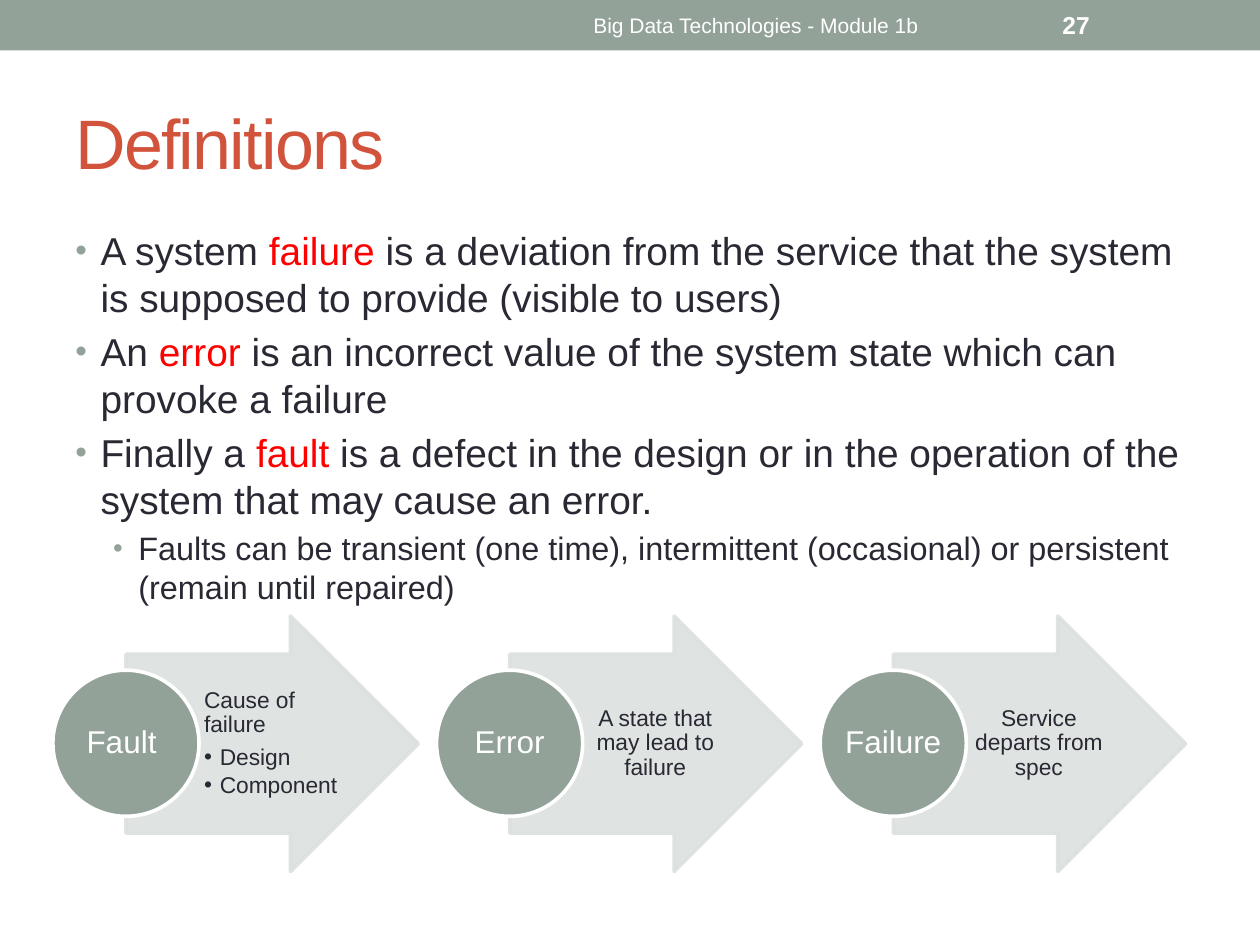
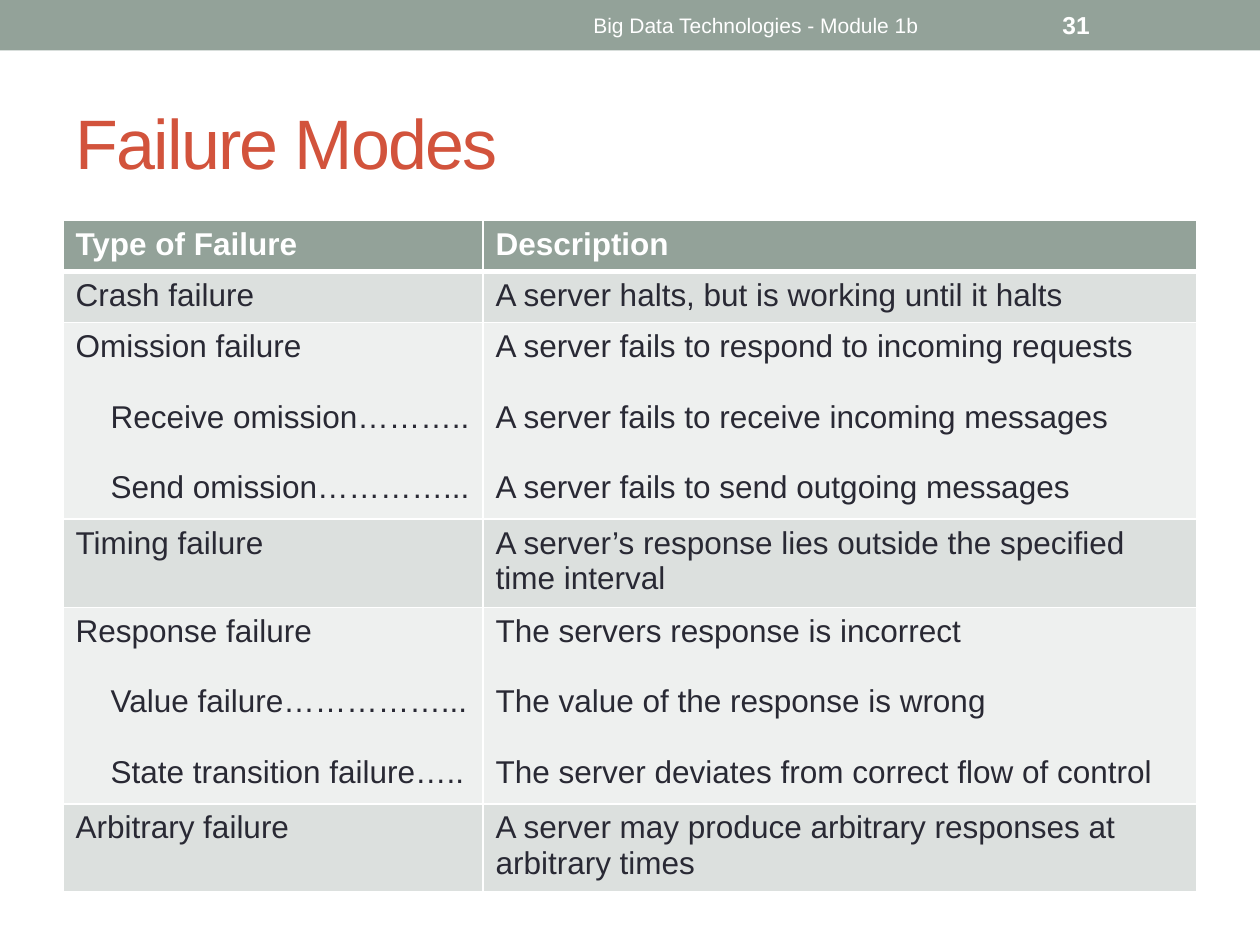
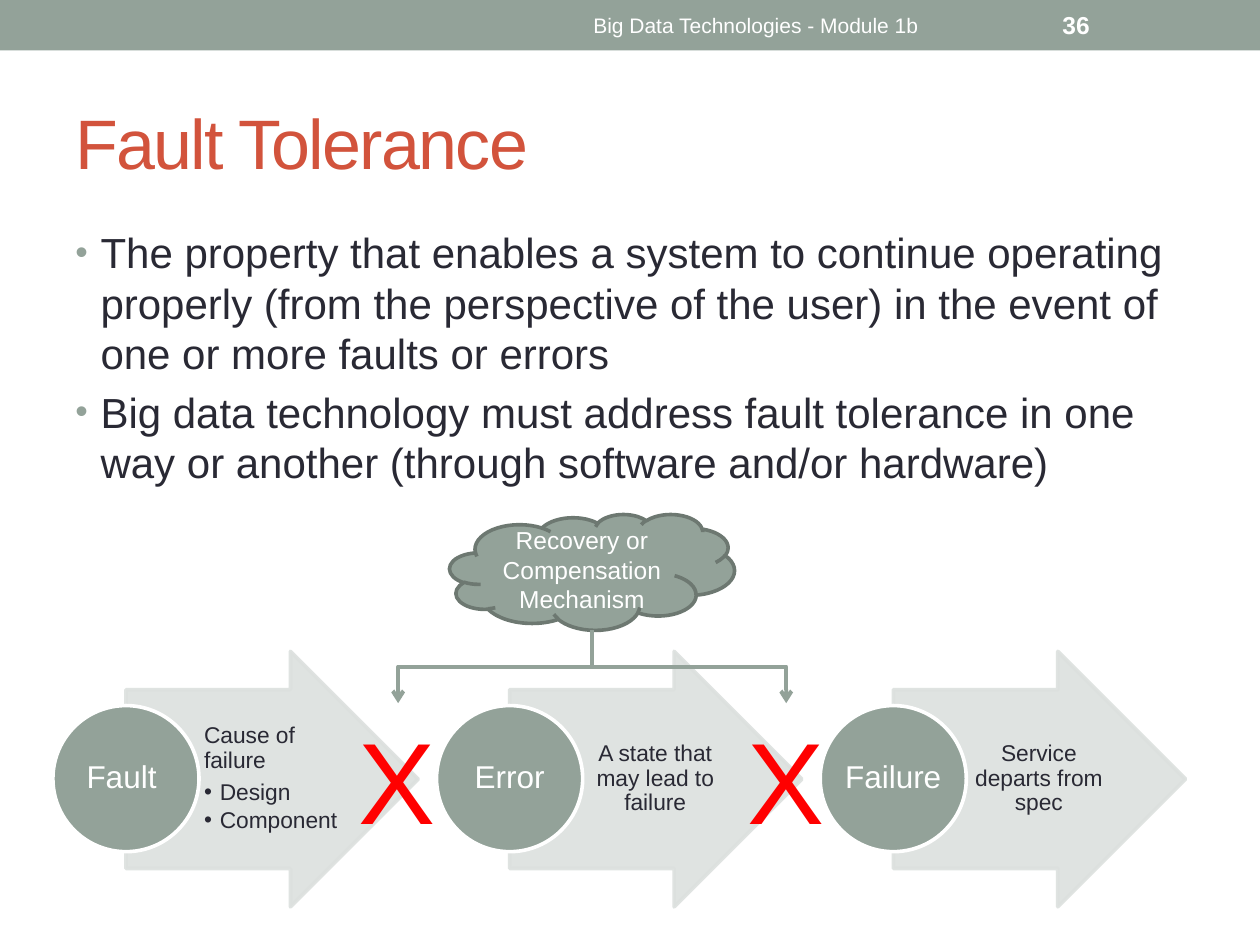
"""Build three slides on faults, errors and failures."""
from dataclasses import dataclass

from lxml.etree import SubElement
from pptx import Presentation
from pptx.dml.color import RGBColor
from pptx.enum.shapes import MSO_CONNECTOR, MSO_SHAPE
from pptx.enum.text import MSO_ANCHOR, MSO_AUTO_SIZE, PP_ALIGN
from pptx.oxml import parse_xml
from pptx.oxml.ns import nsdecls, qn
from pptx.util import Pt


@dataclass(frozen=True)
class Theme:
    font: str = "Arial"
    sage: str = "93A299"
    edge: str = "6D7871"
    pale: str = "DCE0DE"
    mist: str = "EEF0EF"
    rust: str = "D2533C"
    ink: str = "292934"
    red: str = "FF0000"
    white: str = "FFFFFF"
    title: float = 40
    cell: float = 18
    label: float = 18
    note: float = 13
    small: float = 14
    foot: float = 12
    cross: float = 66


class Deck:
    def __init__(self, theme):
        self.theme = theme
        self.show = Presentation()
        self.show.slide_width, self.show.slide_height = Pt(720), Pt(540)
        self.slide = None

    def page(self, title, number):
        t = self.theme
        self.slide = self.show.slides.add_slide(self.show.slide_layouts[6])
        self.shape(MSO_SHAPE.RECTANGLE, (0, 0, 720, 28.8), t.sage)
        head = self.text((36, 41.8, 648, 77.8), title, t.title, t.rust)
        for run in head.paragraphs[0].runs:
            run.font._element.set("spc", "-100")
        self.text((270, 1.44, 324, 25.9), "Big Data Technologies - Module 1b",
                  t.foot, t.white, PP_ALIGN.CENTER)
        self.text((600, 1.44, 84, 25.9), str(number), t.small, t.white, bold=True)

    def style(self, para, size, color, bold=False):
        for run in para.runs:
            font = run.font
            font.name, font.size, font.bold = self.theme.font, Pt(size), bold
            font.color.rgb = RGBColor.from_string(color)

    def bullet(self, para, left, hang, color=None, scale=None):
        props = para._p.get_or_add_pPr()
        props.set("marL", str(Pt(left)))
        props.set("indent", str(-Pt(hang)))
        if color:
            SubElement(SubElement(props, qn("a:buClr")), qn("a:srgbClr"), val=color)
        if scale:
            SubElement(props, qn("a:buSzPct"), val=str(scale * 1000))
        SubElement(props, qn("a:buFont"), typeface=self.theme.font)
        SubElement(props, qn("a:buChar"), char="•")

    def label(self, frame, text, size, color, align=None, bold=False):
        frame.text = text
        frame.word_wrap = True
        frame.vertical_anchor = MSO_ANCHOR.MIDDLE
        for para in frame.paragraphs:
            para.alignment = align
            self.style(para, size, color, bold)
        return frame

    def text(self, box, text, size, color, align=None, bold=False):
        frame = self.slide.shapes.add_textbox(*map(Pt, box)).text_frame
        return self.label(frame, text, size, color, align, bold)

    def inset(self, frame, left, right, edge=0.72):
        frame.margin_left, frame.margin_right = Pt(left), Pt(right)
        frame.margin_top = frame.margin_bottom = Pt(edge)

    def shape(self, kind, box, fill, line=None, alpha=None):
        item = self.slide.shapes.add_shape(kind, *map(Pt, box))
        item.shadow.inherit = False
        item.fill.solid()
        item.fill.fore_color.rgb = RGBColor.from_string(fill)
        if line:
            item.line.color.rgb = RGBColor.from_string(line)
            item.line.width = Pt(2.08)
        else:
            item.line.fill.background()
        if alpha:
            for tint in item._element.spPr.iter(qn("a:srgbClr")):
                SubElement(tint, qn("a:alpha"), val=str(alpha * 1000))
        return item

    def body(self, high, items):
        t = self.theme
        frame = self.text((36, 126, 648, high), "", t.label, t.ink)
        frame.vertical_anchor = MSO_ANCHOR.TOP
        for i, (level, size, text) in enumerate(items):
            para = frame.add_paragraph() if i else frame.paragraphs[0]
            para.level = level
            para.space_before = Pt(size * 0.2)
            for part in text.split("*"):
                para.add_run().text = part
            self.style(para, size, t.ink)
            for run in para.runs[1::2]:
                run.font.color.rgb = RGBColor.from_string(t.red)
            self.bullet(para, 14.4 + 21.6 * level, 14.4, t.sage, 85)

    def chain(self, top, steps):
        t = self.theme
        for i, (name, note) in enumerate(steps):
            left = 30.24 + 219.24 * i
            arrow = self.shape(MSO_SHAPE.RIGHT_ARROW, (left + 41.76, top, 167, 146),
                               t.pale, t.pale, 90)
            arrow.adjustments[0], arrow.adjustments[1] = 0.7, 0.5
            listed = "\n" in note
            frame = self.text((left + 83.5, top + 21.8, 81.4, 102.2), note, t.note,
                              t.ink, None if listed else PP_ALIGN.CENTER)
            self.inset(frame, 2.88, 1.44)
            for j, para in enumerate(frame.paragraphs):
                para.line_spacing = 0.9
                para.space_after = Pt(t.note * (0.15 if j else 0.35))
                if j:
                    para.level = 1
                    self.bullet(para, 9, 9)
            disc = self.shape(MSO_SHAPE.OVAL, (left, top + 31, 83.5, 83.5), t.sage, t.white)
            frame = self.label(disc.text_frame, name, t.label, t.white, PP_ALIGN.CENTER)
            self.inset(frame, 0.72, 0.72)
            frame.paragraphs[0].line_spacing = 0.9

    def border(self, cell, top, base):
        props = cell._tc.get_or_add_tcPr()
        for i, (side, width) in enumerate(zip("LRTB", (1, 1, top, base))):
            props.insert(i, parse_xml(
                f'<a:ln{side} {nsdecls("a")} w="{Pt(width)}"><a:solidFill>'
                f'<a:srgbClr val="{self.theme.white}"/></a:solidFill></a:ln{side}>'))

    def table(self, box, widths, rows):
        t = self.theme
        grid = self.slide.shapes.add_table(len(rows), len(widths), *map(Pt, box)).table
        for col, width in zip(grid.columns, widths):
            col.width = Pt(width)
        for i, row in enumerate(rows):
            grid.rows[i].height = Pt(29.2)
            fill = (t.pale if i % 2 else t.mist) if i else t.sage
            for j, text in enumerate(row):
                cell = grid.cell(i, j)
                self.label(cell.text_frame, text, t.cell, t.ink if i else t.white, bold=not i)
                cell.vertical_anchor = MSO_ANCHOR.TOP
                for para in cell.text_frame.paragraphs[1:]:
                    para.space_before = Pt(20.15)
                    if j == 0:
                        para._p.get_or_add_pPr().set("marL", str(Pt(20)))
                cell.fill.solid()
                cell.fill.fore_color.rgb = RGBColor.from_string(fill)
                self.border(cell, 3 if i == 1 else 1, 1 if i else 3)

    def cross(self, left, top):
        t = self.theme
        frame = self.text((left, top, 59, 87.1), "X", t.cross, t.red)
        frame.vertical_anchor = MSO_ANCHOR.TOP
        frame.word_wrap = False
        frame.auto_size = MSO_AUTO_SIZE.SHAPE_TO_FIT_TEXT

    def cloud(self, box, text):
        t = self.theme
        item = self.shape(MSO_SHAPE.CLOUD, box, t.sage, t.edge)
        self.label(item.text_frame, text, t.small, t.white, PP_ALIGN.CENTER)

    def elbow(self, x, y, reach, drop):
        mid, half, span = x + reach / 2, drop / 2, abs(reach) / 2
        side = half if reach > 0 else -half
        ends = (mid + side, y + half - span, mid - side, y + half + span)
        link = self.slide.shapes.add_connector(MSO_CONNECTOR.ELBOW, *map(Pt, ends))
        link.line.color.rgb = RGBColor.from_string(self.theme.sage)
        link.line.width = Pt(2.25)
        props = link._element.spPr
        props.find(qn("a:xfrm")).set("rot", str((270 if reach > 0 else 90) * 60000))
        SubElement(props.find(qn("a:ln")), qn("a:tailEnd"), type="arrow")
        SubElement(props, qn("a:effectLst"))


STEPS = [
    ("Fault ", "Cause of failure\nDesign\nComponent"),
    ("Error", "A state that may lead to failure"),
    ("Failure", "Service departs from spec"),
]

MODES = [
    ("Type of Failure", "Description"),
    ("Crash failure", "A server halts, but is working until it halts"),
    ("Omission failure\nReceive omission………..\nSend omission…………...",
     "A server fails to respond to incoming requests\n"
     "A server fails to receive incoming messages\n"
     "A server fails to send outgoing messages"),
    ("Timing failure", "A server’s response lies outside the specified time interval"),
    ("Response failure\nValue failure……………...\nState transition failure…..",
     "The servers response is incorrect\n"
     "The value of the response is wrong\n"
     "The server deviates from correct flow of control"),
    ("Arbitrary failure", "A server may produce arbitrary responses at arbitrary times"),
]

deck = Deck(Theme())

deck.page("Definitions", 27)
deck.body(203.8, [
    (0, 22.2, "A system *failure* is a deviation from the service that the system "
              "is supposed to provide (visible to users)"),
    (0, 22.2, "An *error* is an incorrect value of the system state which can "
              "provoke a failure"),
    (0, 22.2, "Finally a *fault* is a defect in the design or in the operation of "
              "the system that may cause an error."),
    (1, 18.5, "Faults can be transient (one time), intermittent (occasional) or "
              "persistent (remain until repaired)"),
])
deck.chain(352, STEPS)

deck.page("Failure Modes", 31)
deck.table((36, 126, 648, 175.2), (240, 408), MODES)

deck.page("Fault Tolerance", 36)
deck.body(383.8, [
    (0, 24, "The property that enables a system to continue operating properly "
            "(from the perspective of the user) in the event of one or more faults or errors"),
    (0, 24, "Big data technology must address fault tolerance in one way or another "
            "(through software and/or hardware)"),
])
deck.chain(372.2, STEPS)
deck.cross(420, 401.8)
deck.cloud((257, 293.8, 162.7, 66.2), "Recovery or Compensation Mechanism")
deck.cross(198, 401.8)
for reach in (110.9, -110.9):
    deck.elbow(338.4, 360, reach, 41.8)

deck.show.save("out.pptx")
